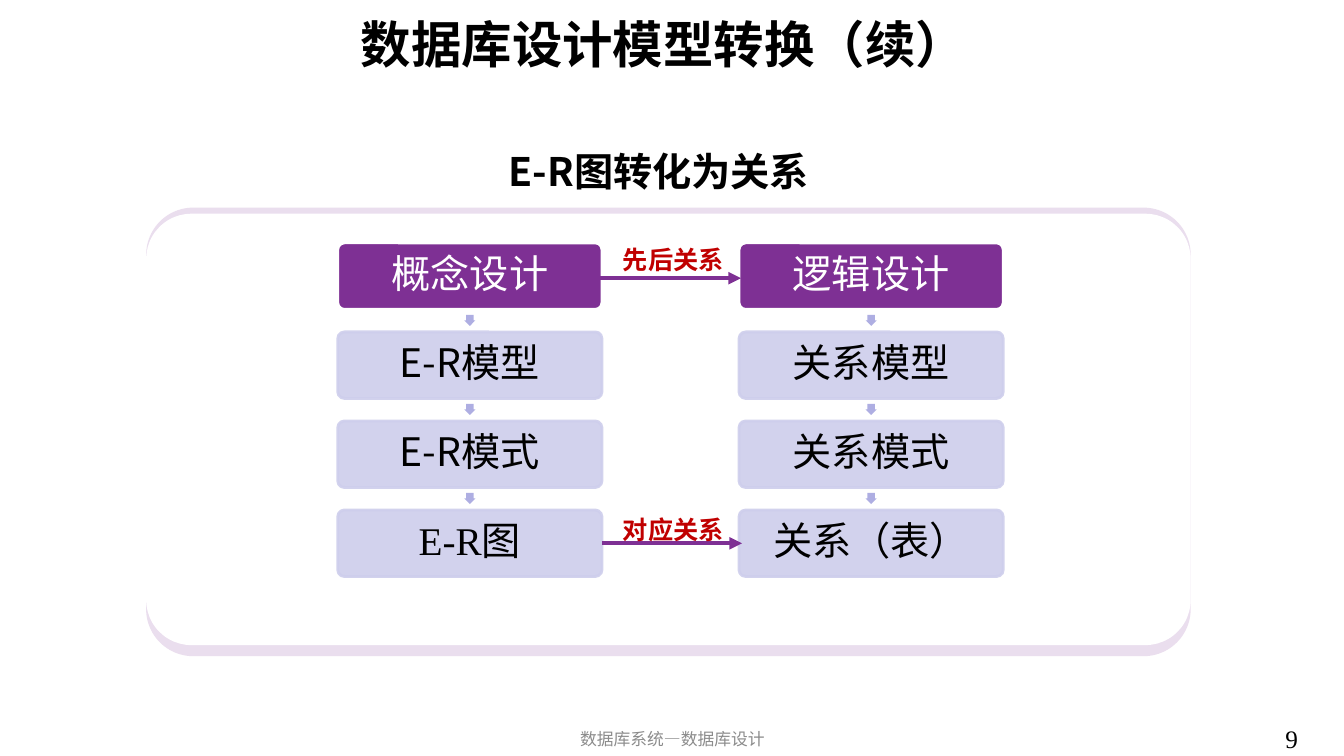
from lxml import etree
from pptx import Presentation
from pptx.dml.color import RGBColor
from pptx.enum.shapes import MSO_CONNECTOR, MSO_SHAPE
from pptx.enum.text import MSO_ANCHOR, PP_ALIGN
from pptx.oxml.ns import qn
from pptx.util import Inches, Pt

ROUND, ARROW = MSO_SHAPE.ROUNDED_RECTANGLE, MSO_SHAPE.RIGHT_ARROW
STRAIGHT = MSO_CONNECTOR.STRAIGHT
TOP, MIDDLE = MSO_ANCHOR.TOP, MSO_ANCHOR.MIDDLE
LEFT, CENTER = PP_ALIGN.LEFT, PP_ALIGN.CENTER
SANS, SERIF = "Noto Sans CJK SC", "Times New Roman"
COLORS = {
    "black": "000000", "white": "FFFFFF", "purple": "7E3094",
    "frame": "6F1787", "step": "CECEEC", "arrow": "AEAEE2",
    "red": "C00000", "gray": "8C8C8C",
}
STEP_W, STEP_H, ARROW_W = 2.62, 0.66, 0.11


def rgb(name):
    return RGBColor.from_string(COLORS[name])


def inches(box):
    return [Inches(v) for v in box]


def paint(fill, color, alpha=100):
    fill.solid()
    fill.fore_color.rgb = rgb(color)
    if alpha < 100:
        node = fill._xPr.find(qn("a:solidFill"))[0]
        etree.SubElement(node, qn("a:alpha"), val=str(alpha * 1000))


def write(frame, text, size, color="black", font=SANS, bold=False,
          align=CENTER, anchor=MIDDLE):
    """Put one formatted paragraph in a text frame."""
    frame.word_wrap = True
    frame.vertical_anchor = anchor
    para = frame.paragraphs[0]
    para.alignment = align
    run = para.add_run()
    run.text = text
    look = {"size": Pt(size), "name": font, "bold": bold}
    for key, value in look.items():
        setattr(run.font, key, value)
    run.font.color.rgb = rgb(color)
    etree.SubElement(run.font._element, qn("a:ea"), typeface=SANS)


def add_text(slide, box, text, size, **look):
    write(slide.shapes.add_textbox(*inches(box)).text_frame,
          text, size, **look)


def add_form(slide, kind, box, color, alpha=100, adjust=()):
    """Add a filled preset shape without line or shadow."""
    form = slide.shapes.add_shape(kind, *inches(box))
    form.shadow.inherit = False
    paint(form.fill, color, alpha)
    form.line.fill.background()
    for i, value in enumerate(adjust):
        form.adjustments[i] = value
    return form


def add_title(slide, box, text):
    title = slide.shapes.title
    names = ("left", "top", "width", "height")
    for name, value in zip(names, inches(box)):
        setattr(title, name, value)
    write(title.text_frame, text, 28, bold=True)


def add_panel(slide, box):
    """Add a tinted frame with a white face that leaves its edges showing."""
    left, top, width, height = box
    face = (left, top + 0.06, width, height - 0.17)
    add_form(slide, ROUND, box, "frame", 14, [0.105])
    add_form(slide, ROUND, face, "white", adjust=[0.105])


def add_step(slide, box, text, head):
    fill, edge, ink = (("purple", "white", "white") if head
                       else ("step", "step", "black"))
    alpha = 100 if head else 90
    step = add_form(slide, ROUND, box, fill, alpha, [0.1])
    paint(step.line.fill, edge, alpha)
    step.line.width = Pt(2)
    frame = step.text_frame
    for side in ("left", "top", "right", "bottom"):
        setattr(frame, "margin_" + side, Inches(0.04))
    font = SERIF if text == "E-R图" else SANS
    write(frame, text, 28, color=ink, font=font)
    frame.paragraphs[0].line_spacing = 0.9


def add_flow(slide, box, steps):
    """Stack steps evenly in a box, with a small arrow in each gap."""
    left, top, width, height = box
    pitch = (height - STEP_H) / (len(steps) - 1)
    mid = left + (width - ARROW_W) / 2
    for i, text in enumerate(steps):
        y = top + i * pitch
        if i:
            spot = (mid, y - 0.17, ARROW_W, ARROW_W)
            arrow = add_form(slide, ARROW, spot, "arrow",
                             adjust=[0.667, 0.5])
            arrow.rotation = 90
        add_step(slide, (left, y, width, STEP_H), text, i == 0)


def add_link(slide, start, end, y, text, rise):
    """Join two flows with an arrow, its label set above by rise."""
    link = slide.shapes.add_connector(
        STRAIGHT, *inches((start, y, end, y)))
    paint(link.line.fill, "purple")
    link.line.width = Pt(3)
    etree.SubElement(link.line._get_or_add_ln(), qn("a:tailEnd"),
                     type="triangle")
    etree.SubElement(link._element.spPr, qn("a:effectLst"))
    add_text(slide, (6.08, y - rise, 1.81, 0.4), text, 18,
             color="red", bold=True, align=LEFT, anchor=TOP)


def add_footer(slide):
    add_text(slide, (4.42, 7.16, 4.5, 0.34), "数据库系统—数据库设计",
             12, color="gray")
    add_text(slide, (12.65, 7.13, 0.84, 0.52), "9", 18, font=SERIF,
             align=LEFT, anchor=TOP)


def main():
    deck = Presentation()
    deck.slide_width, deck.slide_height = Inches(13.33), Inches(7.5)
    slide = deck.slides.add_slide(deck.slide_layouts[5])
    add_title(slide, (1.18, 1.32, 10.71, 0.74), "E-R图转化为关系")
    add_text(slide, (1.06, 0.06, 11.04, 0.74),
             "数据库设计模型转换（续）", 36, bold=True)
    add_panel(slide, (1.45, 2.06, 10.36, 4.45))
    flows = {
        3.35: ("概念设计", "E-R模型", "E-R模式", "E-R图"),
        7.33: ("逻辑设计", "关系模型", "关系模式", "关系（表）"),
    }
    for left, steps in flows.items():
        add_flow(slide, (left, 2.41, STEP_W, 3.31), steps)
    add_link(slide, 5.55, 7.35, 2.76, "先后关系", 0.39)
    add_link(slide, 5.97, 7.36, 5.39, "对应关系", 0.34)
    add_footer(slide)
    deck.save("out.pptx")


if __name__ == "__main__":
    main()
